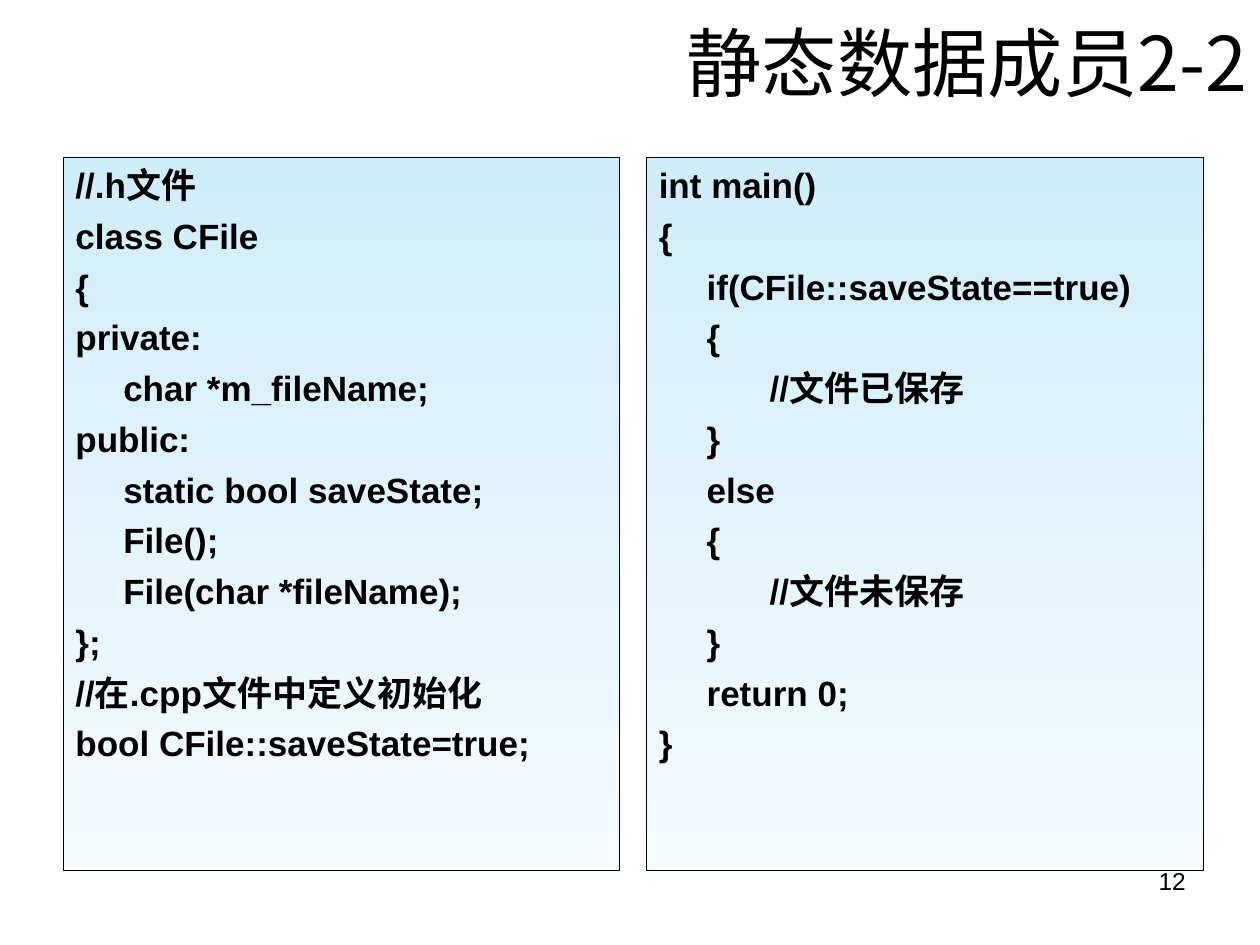
import pptx
import pptx.util
import pptx.dml.color
import pptx.enum.shapes
import pptx.enum.text
import pptx.oxml
import pptx.oxml.ns

BLACK = pptx.dml.color.RGBColor(0x00, 0x00, 0x00)
SKY = pptx.dml.color.RGBColor(0xCF, 0xED, 0xFA)
MIST = pptx.dml.color.RGBColor(0xF5, 0xFB, 0xFE)

WIDTH, HEIGHT = 10, 7.5
INDENT = 0.38
TITLE_ONLY = 5

HEADER_CODE = """//.h文件
class CFile
{
private:
\tchar *m_fileName;
public:
\tstatic bool saveState;
\tFile();
\tFile(char *fileName);
};
//在.cpp文件中定义初始化
bool CFile::saveState=true;"""

MAIN_CODE = """int main()
{
\tif(CFile::saveState==true)
\t{
\t\t//文件已保存
\t}
\telse
\t{
\t\t//文件未保存
\t}
\treturn 0;
}"""


class SlideBuilder:
    """Holds the text styles and the current page; areas are shares of it."""

    title_style = {"size": pptx.util.Pt(43), "name": "Noto Sans CJK SC", "bold": False}
    code_style = {"size": pptx.util.Pt(20), "name": "Arial", "bold": True}
    number_style = {"size": pptx.util.Pt(14), "name": "Arial", "bold": False}

    def __init__(self, deck):
        self.page = deck.slides.add_slide(deck.slide_layouts[TITLE_ONLY])

    def area(self, left, top, width, height):
        return [pptx.util.Inches(share * side) for share, side in
                zip((left, top, width, height), (WIDTH, HEIGHT) * 2)]

    def styled_text(self, para, text, style):
        span = para.add_run()
        span.text = text
        for key, value in style.items():
            setattr(span.font, key, value)
        span.font.color.rgb = BLACK
        east_asian = pptx.oxml.parse_xml(
            f'<a:ea {pptx.oxml.ns.nsdecls("a")} typeface="Noto Sans CJK SC"/>')
        span.font._element.find(pptx.oxml.ns.qn("a:latin")).addnext(east_asian)

    def frame(self, box, anchor):
        settings = {"word_wrap": True, "vertical_anchor": anchor,
                    "auto_size": pptx.enum.text.MSO_AUTO_SIZE.NONE}
        for key, value in settings.items():
            setattr(box.text_frame, key, value)
        return box.text_frame

    def right_line(self, box, text, style, anchor):
        para = self.frame(box, anchor).paragraphs[0]
        para.alignment = pptx.enum.text.PP_ALIGN.RIGHT
        self.styled_text(para, text, style)

    def title(self, text, *shares):
        box = self.page.shapes.title
        box.left, box.top, box.width, box.height = self.area(*shares)
        self.right_line(box, text, self.title_style, pptx.enum.text.MSO_ANCHOR.MIDDLE)

    def page_number(self, text, *shares):
        box = self.page.shapes.add_textbox(*self.area(*shares))
        self.right_line(box, text, self.number_style, pptx.enum.text.MSO_ANCHOR.TOP)

    def code_tabs(self, para):
        """Hanging indent with a tab stop at every inch."""
        properties = para._p.get_or_add_pPr()
        properties.set("marL", str(pptx.util.Inches(INDENT)))
        properties.set("indent", str(-pptx.util.Inches(INDENT)))
        stops = "".join(f'<a:tab pos="{pptx.util.Inches(inch)}" algn="l"/>'
                        for inch in range(8))
        properties.append(pptx.oxml.parse_xml(
            f'<a:tabLst {pptx.oxml.ns.nsdecls("a")}>{stops}</a:tabLst>'))

    def code_panel(self, code, *shares):
        panel = self.page.shapes.add_shape(
            pptx.enum.shapes.MSO_SHAPE.RECTANGLE, *self.area(*shares))
        panel.shadow.inherit = False
        panel.line.color.rgb = BLACK
        panel.line.width = pptx.util.Pt(0.5)
        panel.fill.gradient()
        panel.fill.gradient_angle = 270
        for stop, color, position in zip(panel.fill.gradient_stops, (SKY, MIST), (0, 1)):
            stop.color.rgb = color
            stop.position = position

        frame = self.frame(panel, pptx.enum.text.MSO_ANCHOR.TOP)
        for number, line in enumerate(code.split("\n")):
            para = frame.add_paragraph() if number else frame.paragraphs[0]
            self.code_tabs(para)
            para.alignment = pptx.enum.text.PP_ALIGN.LEFT
            para.space_before = pptx.util.Pt(5 if number else 0)
            self.styled_text(para, line, self.code_style)


def main():
    deck = pptx.Presentation()
    deck.slide_width = pptx.util.Inches(WIDTH)
    deck.slide_height = pptx.util.Inches(HEIGHT)
    builder = SlideBuilder(deck)

    # Heading
    builder.title("静态数据成员2-2", 0.1, 0, 0.9, 0.13)

    # Class on the left, its use on the right
    for column, code in enumerate((HEADER_CODE, MAIN_CODE)):
        builder.code_panel(code, 0.05 + column * 0.463, 1 / 6, 0.442, 0.755)

    # Page number
    builder.page_number("12", 0.717, 0.91, 0.234, 0.07)

    deck.save("out.pptx")


if __name__ == "__main__":
    main()
